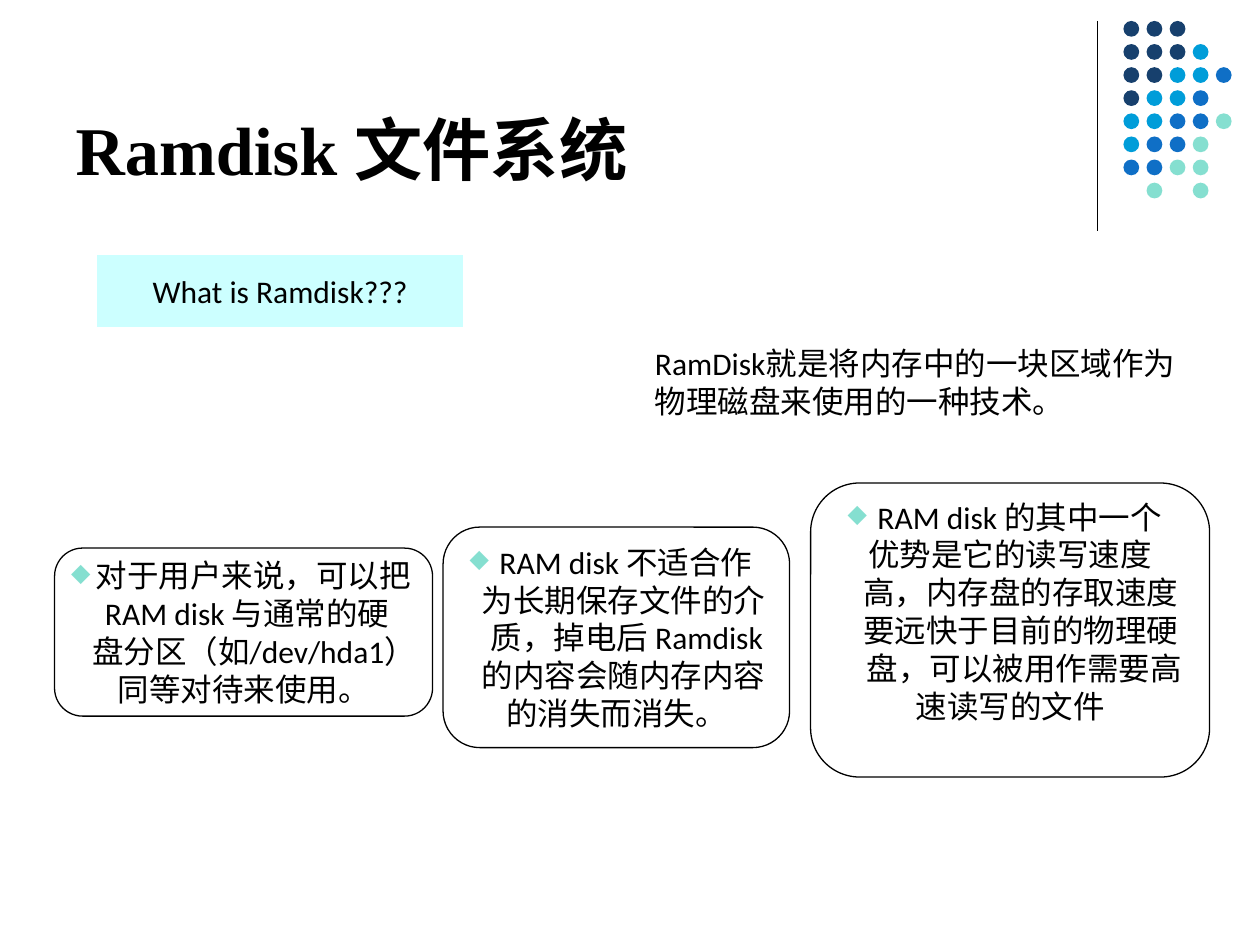
"""Build the slide that explains the Ramdisk file system."""
import dataclasses
from typing import Any

import lxml.etree
import pptx
import pptx.dml.color
import pptx.enum.shapes
import pptx.enum.text
import pptx.oxml.ns
import pptx.util

SHAPE = pptx.enum.shapes.MSO_SHAPE
ALIGN = pptx.enum.text.PP_ALIGN
ANCHOR = pptx.enum.text.MSO_ANCHOR
FIT = pptx.enum.text.MSO_AUTO_SIZE
EMU_PER_PX = 7620


@dataclasses.dataclass(frozen=True)
class Theme:
    ink: str = "000000"
    paper: str = "FFFFFF"
    banner: str = "CCFFFF"
    bullet: str = "85DFD0"
    title_font: str = "Times New Roman"
    body_font: str = "Calibri"
    title_size: int = 39
    body_size: int = 18
    line_width: float = 0.75


@dataclasses.dataclass(frozen=True)
class Line:
    text: str
    indent: int = 0
    bullet: bool = False


@dataclasses.dataclass(frozen=True)
class Card:
    frame: tuple[int, int, int, int]
    lines: tuple[Line, ...]
    bottom_inset: int = 6


THEME = Theme()
DOT_COLOURS = {"N": "17406D", "C": "009DD9", "B": "0F6FC6", "M": "85DFD0"}
DOT_ROWS = ("NNN", "NNNC", "NNCCB", "NCCB", "CCBBM", "CBBM", "BBMM", " M M")
DOT_LEFT, DOT_TOP, DOT_PITCH, DOT_SIZE = 1070, 20, 22, 15
CARDS = (
    Card((52, 522, 360, 160), (
        Line("对于用户来说，可以把", bullet=True),
        Line("RAM disk 与通常的硬", 7),
        Line("盘分区（如/dev/hda1）", 20),
        Line("同等对待来使用。"),
    )),
    Card((422, 502, 330, 210), (
        Line("RAM disk 不适合作", bullet=True),
        Line("为长期保存文件的介", 14),
        Line("质，掉电后 Ramdisk", 20),
        Line("的内容会随内存内容", 14),
        Line("的消失而消失。"),
    )),
    Card((772, 460, 380, 280), (
        Line("RAM disk 的其中一个", bullet=True),
        Line("优势是它的读写速度"),
        Line("高，内存盘的存取速度", 20),
        Line("要远快于目前的物理硬", 20),
        Line("盘，可以被用作需要高", 27),
        Line("速读写的文件"),
    ), bottom_inset=42),
)


def px(length: int) -> pptx.util.Emu:
    """Turn pixels into EMU."""
    return pptx.util.Emu(length * EMU_PER_PX)


def rgb(colour: str) -> pptx.dml.color.RGBColor:
    """Turn a hex string into a colour."""
    return pptx.dml.color.RGBColor.from_string(colour)


def apply(target: Any, values: dict[str, Any]) -> None:
    """Set each named attribute on the target."""
    for name, value in values.items():
        setattr(target, name, value)


def add_bullet(para: Any) -> None:
    """Give a paragraph a coloured diamond bullet."""
    props = para._p.get_or_add_pPr()
    qn = pptx.oxml.ns.qn
    colour = lxml.etree.SubElement(props, qn("a:buClr"))
    lxml.etree.SubElement(colour, qn("a:srgbClr"), val=THEME.bullet)
    lxml.etree.SubElement(props, qn("a:buSzPct"), val="80000")
    lxml.etree.SubElement(props, qn("a:buChar"), char="◆")


def write(box: Any, lines: tuple[Line, ...], frame_format: dict[str, Any],
          align: Any, font_format: dict[str, Any] | None = None) -> None:
    """Write the lines into a box, one paragraph each."""
    font = {"name": THEME.body_font, "size": pptx.util.Pt(THEME.body_size)}
    font |= font_format or {}
    apply(box.text_frame, frame_format)
    for index, line in enumerate(lines):
        para = box.text_frame.add_paragraph() if index else box.text_frame.paragraphs[0]
        para.alignment = align
        if line.indent:
            para._p.get_or_add_pPr().set("marL", str(px(line.indent)))
        if line.bullet:
            add_bullet(para)
        span = para.add_run()
        span.text = line.text
        apply(span.font, font)
        span.font.color.rgb = rgb(THEME.ink)


def add_box(shapes: Any, kind: Any, frame: tuple[int, int, int, int],
            fill: str, outline: str | None = None) -> Any:
    """Draw a filled shape, outlined when a colour is given."""
    box = shapes.add_shape(kind, *map(px, frame))
    box.shadow.inherit = False
    box.fill.solid()
    box.fill.fore_color.rgb = rgb(fill)
    if outline is None:
        box.line.fill.background()
    else:
        box.line.color.rgb = rgb(outline)
        box.line.width = pptx.util.Pt(THEME.line_width)
    return box


def add_ornament(page: Any) -> None:
    """Draw the vertical rule and the grid of dots."""
    rule = page.shapes.add_connector(
        pptx.enum.shapes.MSO_CONNECTOR.STRAIGHT, *map(px, (1045, 20, 1045, 220)))
    rule.line.color.rgb = rgb(THEME.ink)
    rule.line.width = pptx.util.Pt(THEME.line_width)
    lxml.etree.SubElement(rule._element.spPr, pptx.oxml.ns.qn("a:effectLst"))
    dots = page.shapes.add_group_shape()
    for row, keys in enumerate(DOT_ROWS):
        for column, key in enumerate(keys):
            if key in DOT_COLOURS:
                frame = (DOT_LEFT + column * DOT_PITCH, DOT_TOP + row * DOT_PITCH,
                         DOT_SIZE, DOT_SIZE)
                add_box(dots.shapes, SHAPE.OVAL, frame, DOT_COLOURS[key])


def add_card(page: Any, card: Card) -> None:
    """Draw a rounded card with its centred lines."""
    box = add_box(page.shapes, SHAPE.ROUNDED_RECTANGLE, card.frame, THEME.paper, THEME.ink)
    write(box, card.lines, {"word_wrap": False, "vertical_anchor": ANCHOR.MIDDLE,
                            "margin_bottom": px(card.bottom_inset)}, ALIGN.CENTER)


def main() -> None:
    """Build and save the deck."""
    deck = pptx.Presentation()
    apply(deck, {"slide_width": px(1200), "slide_height": px(900)})
    page = deck.slides.add_slide(deck.slide_layouts[5])
    add_ornament(page)

    title = page.shapes.title
    apply(title, {"left": px(60), "top": px(16), "width": px(990), "height": px(170)})
    write(title, (Line("Ramdisk 文件系统"),),
          {"vertical_anchor": ANCHOR.BOTTOM, "auto_size": FIT.NONE}, ALIGN.LEFT,
          {"name": THEME.title_font, "size": pptx.util.Pt(THEME.title_size), "bold": True})

    banner = add_box(page.shapes, SHAPE.RECTANGLE, (92, 242, 350, 70),
                     THEME.banner, THEME.paper)
    write(banner, (Line("What is Ramdisk???"),),
          {"word_wrap": False, "vertical_anchor": ANCHOR.MIDDLE}, ALIGN.CENTER)

    definition = page.shapes.add_textbox(*map(px, (612, 322, 540, 92)))
    write(definition, (Line("RamDisk就是将内存中的一块区域作为物理磁盘来使用的一种技术。"),),
          {"word_wrap": True, "auto_size": FIT.SHAPE_TO_FIT_TEXT}, ALIGN.LEFT)

    for card in CARDS:
        add_card(page, card)
    deck.save("out.pptx")


if __name__ == "__main__":
    main()
